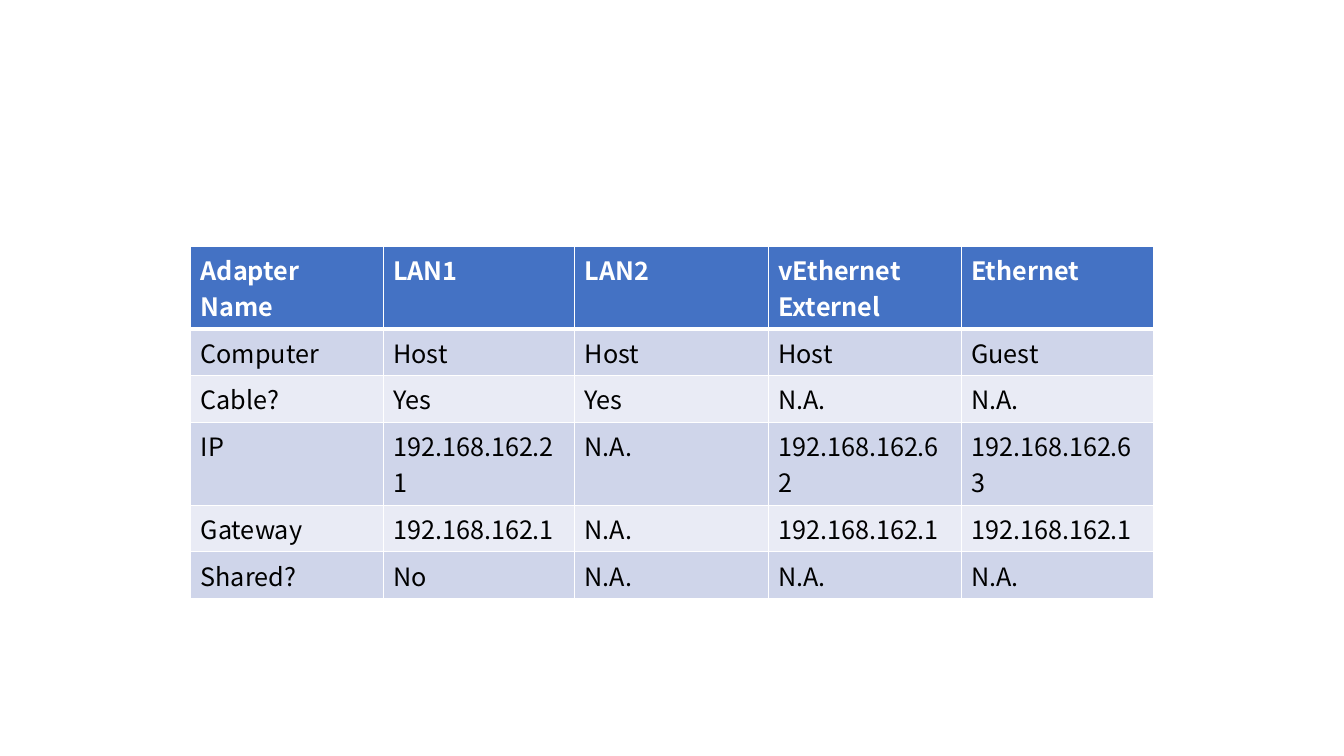
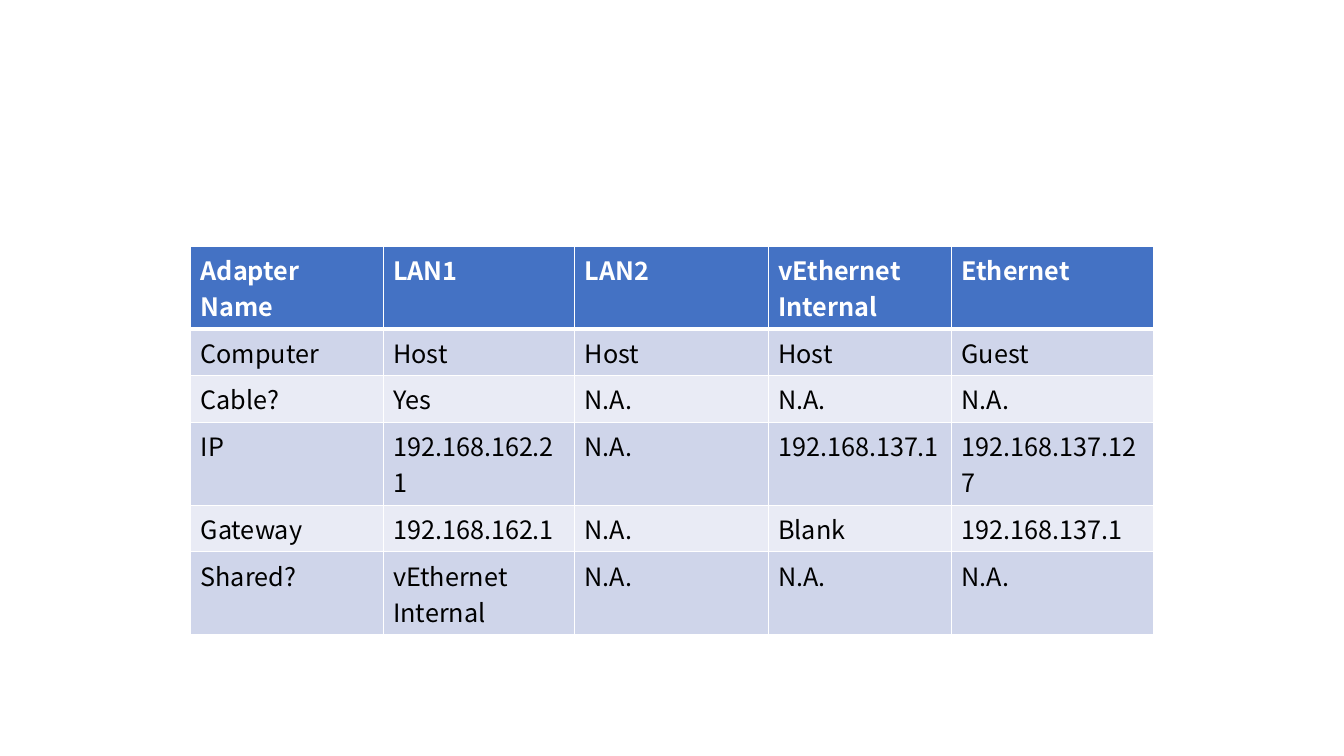
import lxml.etree
import pptx
import pptx.dml.color
import pptx.oxml.ns
import pptx.util

Color = pptx.dml.color.RGBColor
WHITE = Color(0xFF, 0xFF, 0xFF)
BLACK = Color(0x00, 0x00, 0x00)
BLUE = Color(0x44, 0x72, 0xC4)
DARK = Color(0xCF, 0xD5, 0xEA)
LIGHT = Color(0xE9, 0xEB, 0xF5)


class Deck:
    font = "Noto Sans CJK SC"
    size = pptx.util.Pt(18)
    thin = pptx.util.Pt(1)
    thick = pptx.util.Pt(3)
    left, top, high = 14.18, 32.53, 5.47

    def __init__(self):
        self.show = pptx.Presentation()
        self.show.slide_width = pptx.util.Inches(13.33)
        self.show.slide_height = pptx.util.Inches(7.5)

    def across(self, share):
        return round(self.show.slide_width * share / 100)

    def down(self, share):
        return round(self.show.slide_height * share / 100)

    def page(self):
        self.slide = self.show.slides.add_slide(self.show.slide_layouts[6])

    def edge(self, cell, side, width):
        name = pptx.oxml.ns.qn
        props = cell._tc.get_or_add_tcPr()
        line = lxml.etree.SubElement(props, name("a:ln" + side), w=str(width))
        fill = lxml.etree.SubElement(line, name("a:solidFill"))
        lxml.etree.SubElement(fill, name("a:srgbClr"), val=str(WHITE))

    def cell(self, cell, text, row):
        head = row == 0
        widths = {
            "L": self.thin,
            "R": self.thin,
            "T": self.thick if row == 1 else self.thin,
            "B": self.thick if head else self.thin,
        }
        for side, width in widths.items():
            self.edge(cell, side, width)
        cell.fill.solid()
        cell.fill.fore_color.rgb = BLUE if head else DARK if row % 2 else LIGHT
        cell.text = text
        font = cell.text_frame.paragraphs[0].font
        font.name = self.font
        font.size = self.size
        font.bold = head
        font.color.rgb = WHITE if head else BLACK

    def table(self, rows, shares):
        frame = self.slide.shapes.add_table(
            len(rows), len(shares),
            self.across(self.left), self.down(self.top),
            self.across(sum(shares)), self.down(self.high * len(rows)))
        table = frame.table
        for column, share in zip(table.columns, shares):
            column.width = self.across(share)
        for r, texts in enumerate(rows):
            table.rows[r].height = self.down(self.high)
            for c, text in enumerate(texts):
                self.cell(table.cell(r, c), text, r)


LABELS = ["Adapter Name", "Computer", "Cable?", "IP ", "Gateway", "Shared?"]
NONE = "N.A."
LAN = ["LAN1", "Host", "Yes", "192.168.162.21", "192.168.162.1"]
GATE = "192.168.162.1"
GUEST = ["Ethernet", "Guest", NONE]

EXTERNAL = [
    LABELS,
    LAN + ["No"],
    ["LAN2", "Host", "Yes", NONE, NONE, NONE],
    ["vEthernet Externel", "Host", NONE, "192.168.162.62", GATE, NONE],
    GUEST + ["192.168.162.63", GATE, NONE],
]
INTERNAL = [
    LABELS,
    LAN + ["vEthernet Internal"],
    ["LAN2", "Host", NONE, NONE, NONE, NONE],
    ["vEthernet Internal", "Host", NONE, "192.168.137.1", "Blank", NONE],
    GUEST + ["192.168.137.127", "192.168.137.1", NONE],
]

FIRST = [14.33, 14.25, 14.4]

deck = Deck()
for columns, last in ((EXTERNAL, [14.36, 14.33]), (INTERNAL, [13.65, 15.06])):
    deck.page()
    deck.table(list(zip(*columns)), FIRST + last)
deck.show.save("out.pptx")
